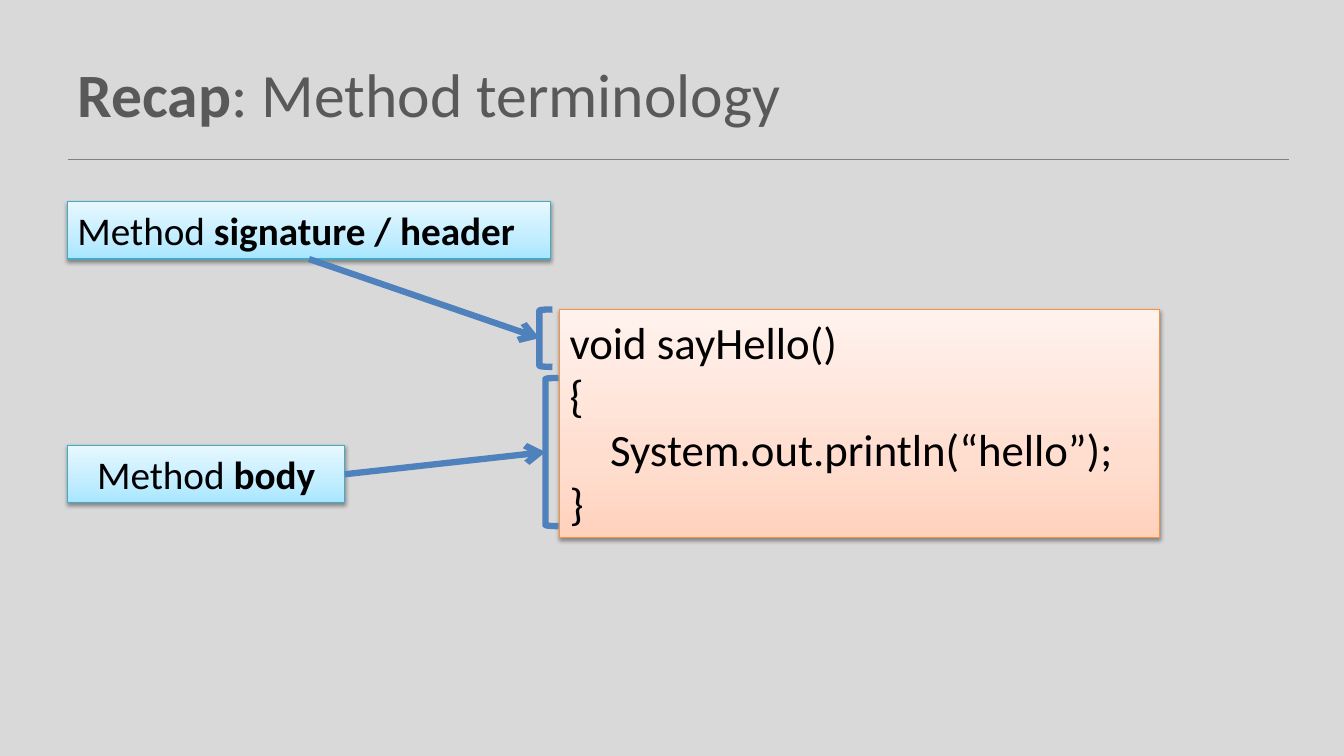
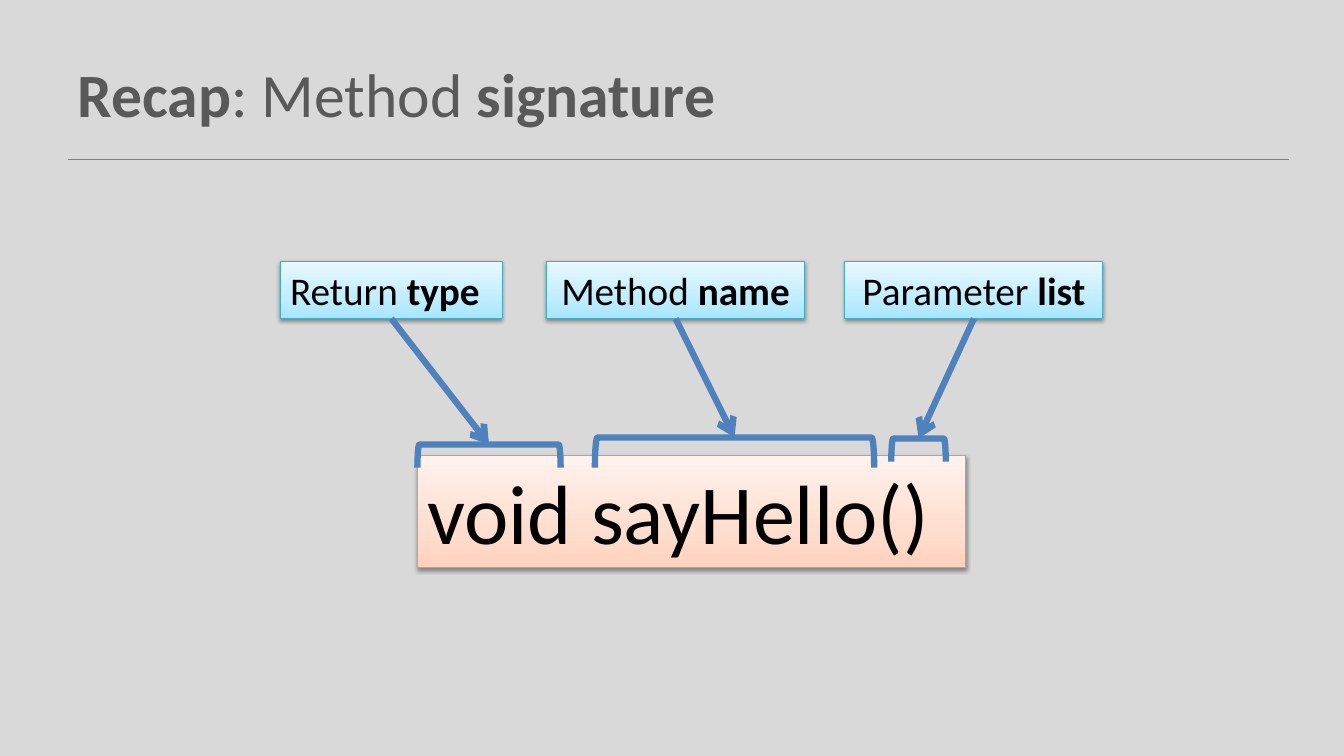
from lxml import etree
from pptx import Presentation
from pptx.dml.color import RGBColor
from pptx.enum import shapes, text
from pptx.oxml.ns import qn
from pptx.util import Inches, Pt

COLORS = {
    "background": "D9D9D9",
    "title": "595959",
    "rule": "808080",
    "text": "000000",
    "arrow": "4F81BD",
    "label_line": "46AAC5",
    "code_line": "F69240",
    "shadow": "000000",
}
GRADIENTS = {
    "label": [(0, "A7E6FF"), (35, "C1EDFF"), (100, "E7F8FF")],
    "code": [(0, "FFD2BD"), (35, "FFDED0"), (100, "FFF2ED")],
}
LEFT, CENTER = text.PP_ALIGN.LEFT, text.PP_ALIGN.CENTER
BOTTOM_SITE, RIGHT_SITE = 2, 3
LABEL_HEIGHT = 0.57

SLIDES = [
    {
        "title": "**Recap**: Method terminology",
        "code": ["void sayHello()", "{", "    System.out.println(“hello”);", "}"],
        "code_box": (5.55, 3.07, 5.95, 2.26),
        "code_size": 32,
        "brackets_on_top": False,
        "labels": [
            ("Method **signature / header**", LEFT, 0.67, 2, 4.79, BOTTOM_SITE, (5.35, 3.07, 0.57, 0.13)),
            ("Method **body**", CENTER, 0.67, 4.42, 2.75, RIGHT_SITE, (5.41, 3.75, 1.47, 0.13)),
        ],
    },
    {
        "title": "**Recap**: Method **signature**",
        "code": ["void sayHello()"],
        "code_box": (4.14, 4.52, 5.44, 1.11),
        "code_size": 60,
        "brackets_on_top": True,
        "labels": [
            ("Return **type**", LEFT, 2.78, 2.59, 2.2, BOTTOM_SITE, (4.14, 4.41, 1.42, 0.23)),
            ("Method **name**", CENTER, 5.42, 2.59, 2.56, BOTTOM_SITE, (5.9, 4.34, 2.77, 0.3)),
            ("Parameter **list**", CENTER, 8.38, 2.59, 2.56, BOTTOM_SITE, (8.84, 4.35, 0.54, 0.23)),
        ],
    },
]


def add_text(s, lines, box, size, color="text", align=LEFT, style=None):
    sp = s.shapes.add_textbox(*map(Inches, box))
    tf = sp.text_frame
    tf.word_wrap = True
    tf.vertical_anchor = text.MSO_ANCHOR.TOP if style else text.MSO_ANCHOR.MIDDLE
    for i, line in enumerate(lines):
        p = tf.paragraphs[0] if i == 0 else tf.add_paragraph()
        p.alignment = align
        for j, part in enumerate(line.split("**")):
            if part:
                r = p.add_run()
                r.text = part
                r.font.name = "Calibri"
                r.font.size = Pt(size)
                r.font.bold = j % 2 == 1
                r.font.color.rgb = RGBColor.from_string(COLORS[color])
    if style:
        tf.auto_size = text.MSO_AUTO_SIZE.SHAPE_TO_FIT_TEXT
        sp.fill.gradient()
        sp.fill.gradient_angle = 90
        sp.line.color.rgb = RGBColor.from_string(COLORS[style + "_line"])
        sp.line.width = Pt(0.75)
        sp.shadow.inherit = False
        spPr = sp._element.spPr
        stops = spPr.find(".//" + qn("a:gsLst"))
        for stop in list(stops):
            stops.remove(stop)
        for position, value in GRADIENTS[style]:
            stop = etree.SubElement(stops, qn("a:gs"), pos=str(position * 1000))
            etree.SubElement(stop, qn("a:srgbClr"), val=value)
        shadow = etree.SubElement(
            spPr.find(qn("a:effectLst")), qn("a:outerShdw"),
            blurRad=str(Pt(3.1)), dist=str(Pt(1.6)), dir="5400000", rotWithShape="0")
        tint = etree.SubElement(shadow, qn("a:srgbClr"), val=COLORS["shadow"])
        etree.SubElement(tint, qn("a:alpha"), val="38000")
    return sp


def add_line(s, start, end, color, width):
    line = s.shapes.add_connector(shapes.MSO_CONNECTOR.STRAIGHT, *map(Inches, start + end))
    line.line.color.rgb = RGBColor.from_string(COLORS[color])
    line.line.width = Pt(width)
    etree.SubElement(line._element.spPr, qn("a:effectLst"))
    return line


prs = Presentation()
prs.slide_width = Inches(13.33)
prs.slide_height = Inches(7.5)
background = prs.slide_master.background.fill
background.solid()
background.fore_color.rgb = RGBColor.from_string(COLORS["background"])

for content in SLIDES:
    s = prs.slides.add_slide(prs.slide_layouts[6])
    add_line(s, (0.67, 1.58), (12.78, 1.58), "rule", 1)
    add_text(s, [content["title"]], (0.67, 0.3, 12, 1.25), 44, color="title")
    add_text(s, content["code"], content["code_box"], content["code_size"], style="code")

    for caption, align, x, y, width, site, (left, top, span, depth) in content["labels"]:
        label = add_text(s, [caption], (x, y, width, LABEL_HEIGHT), 28, align=align, style="label")

        if content["brackets_on_top"]:
            tip = (left + span / 2, top)
            corner = (left + (span - depth) / 2, top + (depth - span) / 2)
        else:
            tip = (left, top + span / 2)
            corner = (left, top)
        bracket = s.shapes.add_shape(
            shapes.MSO_SHAPE.LEFT_BRACKET, *map(Inches, corner + (depth, span)))
        bracket.rotation = 90 if content["brackets_on_top"] else 0
        bracket.shadow.inherit = False
        bracket.fill.background()
        bracket.line.color.rgb = RGBColor.from_string(COLORS["arrow"])
        bracket.line.width = Pt(4.5)

        arrow = add_line(s, (x, y), tip, "arrow", 4.5)
        arrow.begin_connect(label, site)
        etree.SubElement(arrow.line._get_or_add_ln(), qn("a:tailEnd"), type="arrow")

prs.save("out.pptx")
